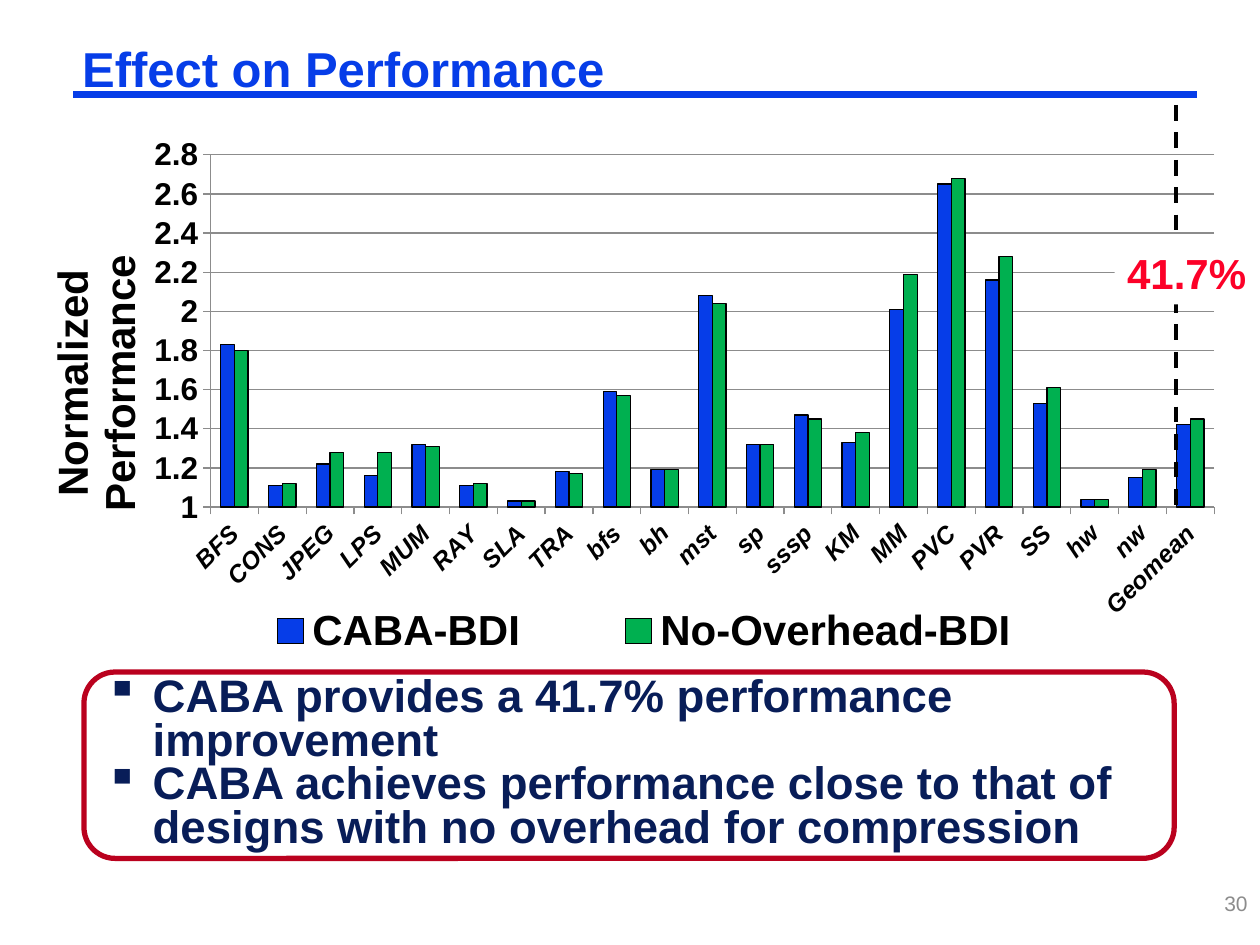
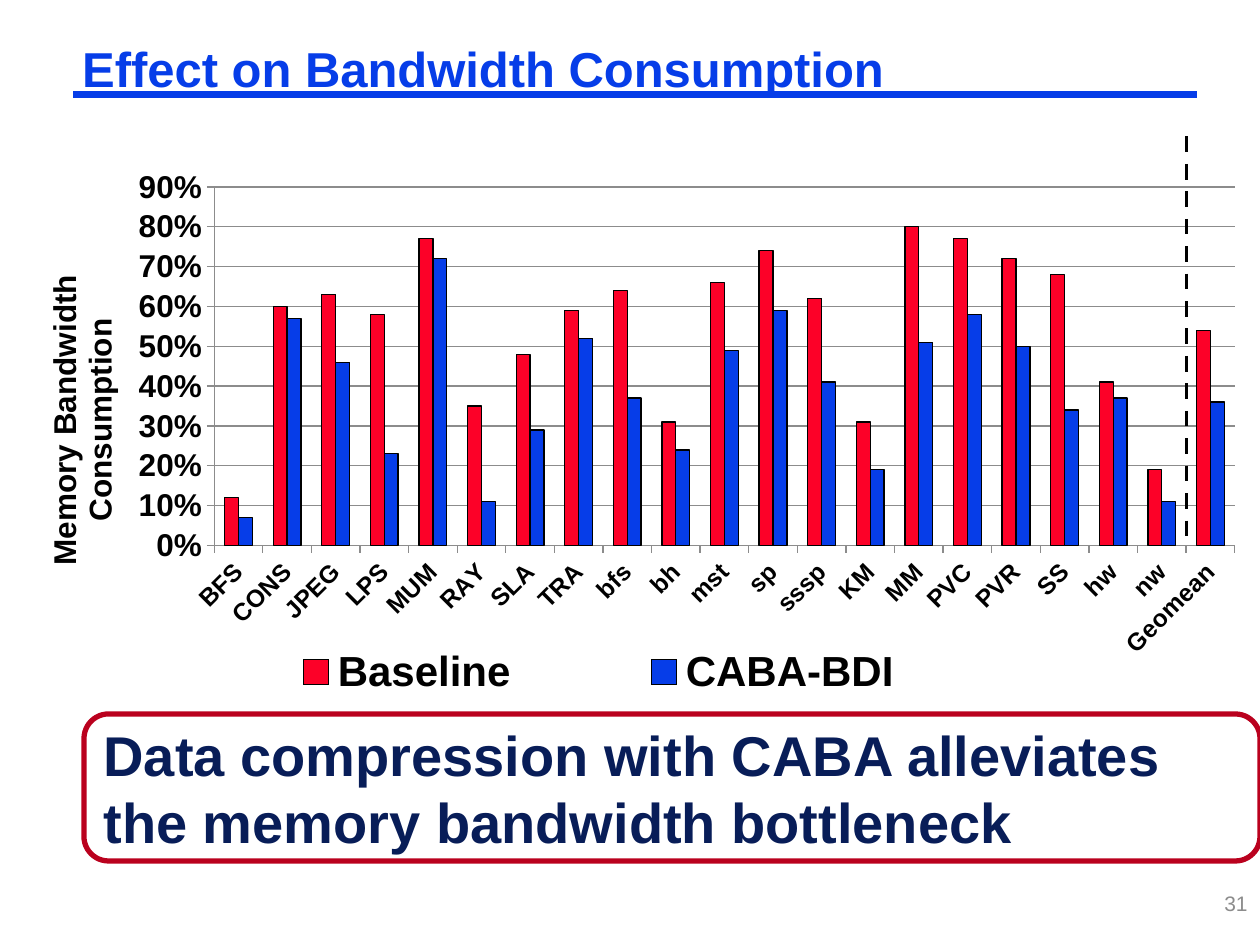
from lxml import etree
from pptx import Presentation
from pptx.chart.data import CategoryChartData
from pptx.dml.color import RGBColor
from pptx.enum.chart import XL_CHART_TYPE, XL_LEGEND_POSITION, XL_TICK_MARK
from pptx.enum.dml import MSO_LINE
from pptx.enum.shapes import MSO_CONNECTOR, MSO_SHAPE
from pptx.enum.text import MSO_ANCHOR, PP_ALIGN
from pptx.oxml import parse_xml
from pptx.oxml.ns import nsdecls, qn
from pptx.util import Pt

FONT = "Arial"
COLORS = {
    "blue": "063DE8", "green": "00B050", "red": "FC0128", "crimson": "BA011E",
    "navy": "081D58", "black": "000000", "white": "FFFFFF", "gray": "8C8C8C",
}
APPS = ["BFS", "CONS", "JPEG", "LPS", "MUM", "RAY", "SLA", "TRA", "bfs", "bh", "mst",
        "sp", "sssp", "KM", "MM", "PVC", "PVR", "SS", "hw", "nw", "Geomean"]
PERFORMANCE = [
    ("CABA-BDI", "blue", [1.83, 1.11, 1.22, 1.16, 1.32, 1.11, 1.03, 1.18, 1.59, 1.19, 2.08,
                          1.32, 1.47, 1.33, 2.01, 2.65, 2.16, 1.53, 1.04, 1.15, 1.42]),
    ("No-Overhead-BDI", "green", [1.8, 1.12, 1.28, 1.28, 1.31, 1.12, 1.03, 1.17, 1.57, 1.19, 2.04,
                                  1.32, 1.45, 1.38, 2.19, 2.68, 2.28, 1.61, 1.04, 1.19, 1.45]),
]
BANDWIDTH = [
    ("Baseline", "red", [0.12, 0.6, 0.63, 0.58, 0.77, 0.35, 0.48, 0.59, 0.64, 0.31, 0.66,
                         0.74, 0.62, 0.31, 0.8, 0.77, 0.72, 0.68, 0.41, 0.19, 0.54]),
    ("CABA-BDI", "blue", [0.07, 0.57, 0.46, 0.23, 0.72, 0.11, 0.29, 0.52, 0.37, 0.24, 0.49,
                          0.59, 0.41, 0.19, 0.51, 0.58, 0.5, 0.34, 0.37, 0.11, 0.36]),
]


def rgb(name):
    return RGBColor.from_string(COLORS[name])


def points(box):
    return [Pt(v) for v in box]


def style_font(font, size, color="black", bold=True, italic=False):
    font.name, font.size, font.bold, font.italic = FONT, Pt(size), bold, italic
    font.color.rgb = rgb(color)


def add_text(sp, paragraphs, size, color, bold=True, align=PP_ALIGN.LEFT,
             anchor=MSO_ANCHOR.MIDDLE, spacing=None, bullet=None, insets=None, wrap=True):
    tf = sp.text_frame
    tf.word_wrap, tf.vertical_anchor = wrap, anchor
    if insets:
        tf.margin_left = tf.margin_right = Pt(insets[0])
        tf.margin_top = tf.margin_bottom = Pt(insets[1])
    for i, text in enumerate(paragraphs):
        p = tf.add_paragraph() if i else tf.paragraphs[0]
        p.alignment, p.line_spacing = align, spacing
        r = p.add_run()
        r.text = text
        style_font(r.font, size, color, bold)
        if bullet:
            pPr = p._p.get_or_add_pPr()
            pPr.set("marL", str(Pt(27)))
            pPr.set("indent", str(-Pt(27)))
            etree.SubElement(pPr, qn("a:buChar")).set("char", bullet)


def add_line(s, x1, y1, x2, y2, color, width, dash=None):
    ln = s.shapes.add_connector(MSO_CONNECTOR.STRAIGHT, *points((x1, y1, x2, y2)))
    ln.line.color.rgb, ln.line.width = rgb(color), Pt(width)
    if dash:
        ln.line.dash_style = dash
    etree.SubElement(ln._element.spPr, qn("a:effectLst"))


def add_frame(s, number, title):
    add_line(s, 42, 54, 684, 54, "blue", 4.5)
    add_text(s.shapes.add_textbox(*points((42, 24, 642, 33))), [title], 28, "blue",
             anchor=MSO_ANCHOR.TOP, spacing=0.87, insets=(5, 2.4))
    add_text(s.shapes.add_textbox(*points((672, 492, 48, 48))), [str(number)], 12, "gray",
             bold=False, align=PP_ALIGN.RIGHT)


def set_layout(element, x, y, w=None, h=None, inner=False):
    parts = [("layoutTarget", "inner")] if inner else []
    parts += [("xMode", "edge"), ("yMode", "edge"), ("x", x), ("y", y)]
    parts += [("w", w), ("h", h)] if w else []
    tags = "".join(f'<c:{tag} val="{val}"/>' for tag, val in parts)
    layout = parse_xml(f'<c:layout {nsdecls("c")}><c:manualLayout>{tags}</c:manualLayout></c:layout>')
    for old in element.findall(qn("c:layout")):
        element.remove(old)
    before = element.find(qn("c:overlay"))
    if before is not None:
        before.addprevious(layout)
    else:
        element.insert(0, layout)


def add_bars(s, box, series, axis_title, title_size, title_top, scale, fmt, legend, italic=False):
    data = CategoryChartData(number_format=fmt)
    data.categories = APPS
    for name, _, values in series:
        data.add_series(name, values)
    chart = s.shapes.add_chart(XL_CHART_TYPE.COLUMN_CLUSTERED, *points(box), data).chart
    style_font(chart.font, 10, bold=False)
    chart.has_title = False

    plot = chart.plots[0]
    plot.gap_width, plot.overlap, plot.vary_by_categories = 150, 0, False
    for bars, (_, color, _) in zip(plot.series, series):
        bars.format.fill.solid()
        bars.format.fill.fore_color.rgb = rgb(color)
        bars.format.line.color.rgb = rgb("black")
        bars.format.line.width = Pt(0.75)

    cat, val = chart.category_axis, chart.value_axis
    for axis, size in ((cat, 14), (val, 18)):
        style_font(axis.tick_labels.font, size, italic=italic and axis is cat)
        axis.major_tick_mark, axis.minor_tick_mark = XL_TICK_MARK.OUTSIDE, XL_TICK_MARK.NONE
        axis.format.line.color.rgb = rgb("gray")
    cat._element.find(qn("c:txPr")).find(qn("a:bodyPr")).set("rot", "-2700000")
    val.minimum_scale, val.maximum_scale, val.major_unit = scale
    val.tick_labels.number_format, val.tick_labels.number_format_is_linked = fmt, False
    val.major_gridlines.format.line.color.rgb = rgb("gray")
    tf = val.axis_title.text_frame
    tf.text = axis_title
    style_font(tf.paragraphs[0].runs[0].font, title_size)
    tf._txBody.find(qn("a:bodyPr")).set("rot", "-5400000")

    chart.has_legend = True
    chart.legend.position = XL_LEGEND_POSITION.BOTTOM
    chart.legend.include_in_layout = False
    style_font(chart.legend.font, 24)
    set_layout(chart._chartSpace.chart.plotArea, 0.17, 0.05, 0.81, 0.61, inner=True)
    set_layout(val.axis_title._element, 0.03, title_top)
    set_layout(chart.legend._element, *legend)


def add_takeaway(s, box, paragraphs, size, **fmt):
    sp = s.shapes.add_shape(MSO_SHAPE.ROUNDED_RECTANGLE, *points(box))
    sp.shadow.inherit = False
    sp.fill.background()
    sp.line.color.rgb, sp.line.width = rgb("crimson"), Pt(3)
    add_text(sp, paragraphs, size, "navy", **fmt)


def add_callout(s, box, text):
    sp = s.shapes.add_shape(MSO_SHAPE.RECTANGLE, *points(box))
    sp.shadow.inherit = False
    sp.fill.solid()
    sp.fill.fore_color.rgb = rgb("white")
    sp.line.fill.background()
    add_text(sp, [text], 24, "red", anchor=MSO_ANCHOR.TOP, wrap=False)


def add_geomean_divider(s, x, top):
    add_line(s, x, top, x, top + 234, "black", 2.25, MSO_LINE.DASH)


def performance_slide(s):
    add_frame(s, 30, "Effect on Performance")
    add_bars(s, (0, 72, 708, 330), PERFORMANCE, "Normalized Performance", 24, 0.21,
             (1, 2.8, 0.2), "General", (0.15, 0.82, 0.74, 0.11), italic=True)
    add_takeaway(s, (48, 384, 623, 106.5),
                 ["CABA provides a 41.7% performance improvement",
                  "CABA achieves performance close to that of designs with no overhead for compression"],
                 26, spacing=Pt(25), bullet="▪")
    add_geomean_divider(s, 672, 60)
    add_callout(s, (637, 138, 83, 36), "41.7%")


def bandwidth_slide(s):
    add_frame(s, 31, "Effect on Bandwidth Consumption")
    add_bars(s, (0, 90, 720, 336), BANDWIDTH, "Memory Bandwidth Consumption", 18, 0.19,
             (0, 0.9, 0.1), "0%", (0.14, 0.82, 0.67, 0.11))
    add_geomean_divider(s, 678, 78)
    add_takeaway(s, (48, 408, 672, 84),
                 ["Data compression with CABA alleviates the memory bandwidth bottleneck"], 32)


def main():
    prs = Presentation()
    prs.slide_width, prs.slide_height = Pt(720), Pt(540)
    for build in (performance_slide, bandwidth_slide):
        build(prs.slides.add_slide(prs.slide_layouts[6]))
    prs.save("out.pptx")


if __name__ == "__main__":
    main()
